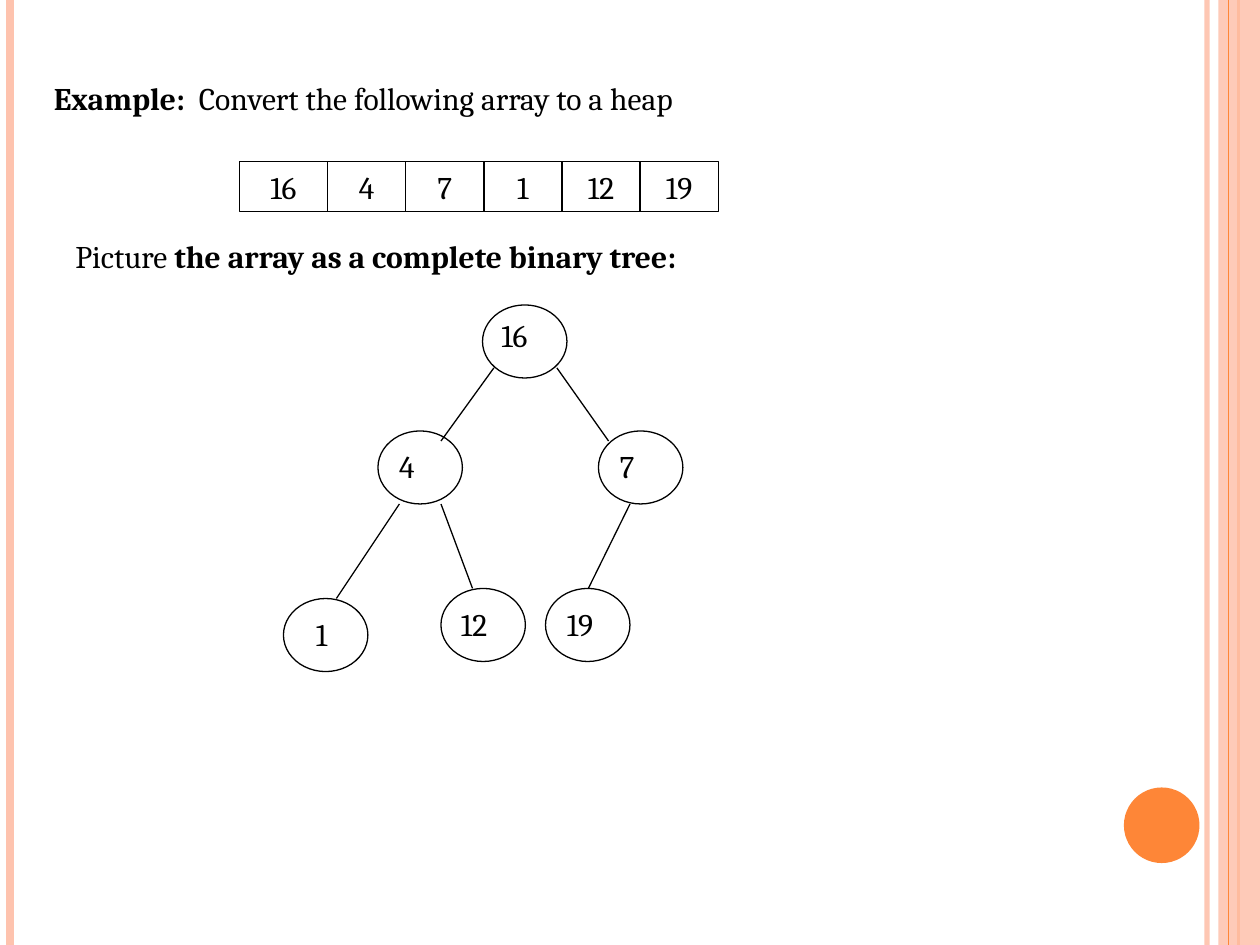
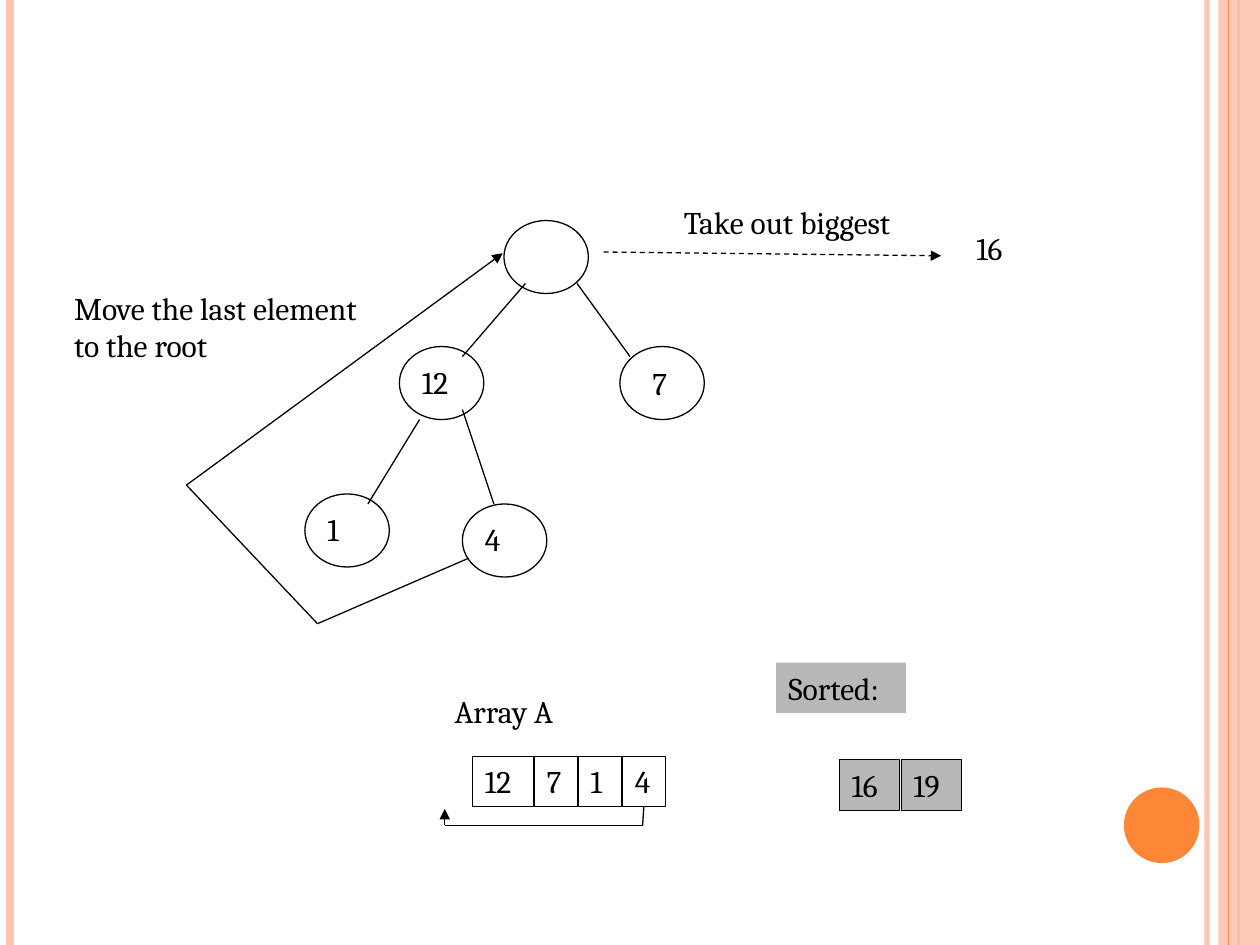
from itertools import pairwise

from lxml import etree
from pptx import Presentation
from pptx.dml.color import RGBColor
from pptx.enum.dml import MSO_LINE
from pptx.enum.shapes import MSO_CONNECTOR, MSO_SHAPE
from pptx.enum.text import MSO_ANCHOR, MSO_AUTO_SIZE, PP_ALIGN
from pptx.oxml.ns import qn
from pptx.util import Inches, Pt

BLACK = RGBColor(0x00, 0x00, 0x00)
ORANGE = RGBColor(0xFE, 0x86, 0x37)
PEACH = RGBColor(0xFE, 0xC3, 0xAE)
GRAY = RGBColor(0xB8, 0xB8, 0xB8)

RECT, OVAL = MSO_SHAPE.RECTANGLE, MSO_SHAPE.OVAL
STRAIGHT, DASH = MSO_CONNECTOR.STRAIGHT, MSO_LINE.DASH
LEFT, CENTER = PP_ALIGN.LEFT, PP_ALIGN.CENTER
MIDDLE, FIT_TEXT = MSO_ANCHOR.MIDDLE, MSO_AUTO_SIZE.SHAPE_TO_FIT_TEXT
BOTTOM_SIDE = 2

SLIDE_W, SLIDE_H = 10, 7.5
FONT, FONT_SIZE = "Cambria", Pt(18)
THIN, HAIRLINE = 0.75, 0.25
NODE_W, NODE_H = 0.67, 0.58
TEXT_H = 0.4
ONE_DIGIT, TWO_DIGITS = 0.34, 0.48


def set_alpha(element, percent):
    color = next(element.iter(qn("a:srgbClr")))
    etree.SubElement(color, qn("a:alpha"), val=str(percent * 1000))


def add_line(slide, start, end, color=BLACK, width=THIN, dash=None, arrow=False):
    points = [Inches(v) for v in (*start, *end)]
    line = slide.shapes.add_connector(STRAIGHT, *points)
    line.line.color.rgb = color
    line.line.width = Pt(width)
    if dash is not None:
        line.line.dash_style = dash
    sp_pr = line._element.spPr
    if arrow:
        etree.SubElement(sp_pr.find(qn("a:ln")), qn("a:tailEnd"), type="triangle")
    etree.SubElement(sp_pr, qn("a:effectLst"))
    return line


def add_bent_arrow(slide, points):
    """Join the points by straight lines; the last one carries the arrowhead."""
    return [add_line(slide, start, end, arrow=end == points[-1])
            for start, end in pairwise(points)]


def add_shape(slide, kind, left, top, width, height, fill=None, line=None):
    """Add a shape; line is its black outline's width, or None."""
    sp = slide.shapes.add_shape(
        kind, Inches(left), Inches(top), Inches(width), Inches(height))
    sp.shadow.inherit = False
    if fill is None:
        sp.fill.background()
    else:
        sp.fill.solid()
        sp.fill.fore_color.rgb = fill
    if line is None:
        sp.line.fill.background()
    else:
        sp.line.color.rgb = BLACK
        sp.line.width = Pt(line)
    return sp


def write(sp, paragraphs, align=LEFT, wrap=False):
    """Fill sp with paragraphs, each a list of (text, bold) runs."""
    tf = sp.text_frame
    tf.word_wrap = wrap
    tf.auto_size = FIT_TEXT
    tf.vertical_anchor = MIDDLE
    for i, runs in enumerate(paragraphs):
        p = tf.add_paragraph() if i else tf.paragraphs[0]
        p.alignment = align
        for text, bold in runs:
            r = p.add_run()
            r.text = text
            r.font.name = FONT
            r.font.size = FONT_SIZE
            r.font.bold = bold
            r.font.color.rgb = BLACK


def add_text(slide, left, top, width, paragraphs, wrap=False):
    box = slide.shapes.add_textbox(
        Inches(left), Inches(top), Inches(width), Inches(TEXT_H * len(paragraphs)))
    write(box, paragraphs, wrap=wrap)


def add_label(slide, left, top, width, *lines):
    add_text(slide, left, top, width, [[(line, False)] for line in lines])


def digits_width(number):
    return ONE_DIGIT if len(number) == 1 else TWO_DIGITS


def add_cells(slide, left, top, cells, gap=0, fill=None, line=HAIRLINE, align=LEFT):
    """Set (text, width) cells side by side and return their shapes."""
    shapes = []
    for text, width in cells:
        sp = add_shape(slide, RECT, left, top, width, TEXT_H, fill, line)
        write(sp, [[(text, False)]], align, wrap=align == CENTER)
        shapes.append(sp)
        left += width + gap
    return shapes


def add_tree(slide, left, top, nodes, edges):
    """Draw a tree; nodes (x, y, label, label dx, label dy) and edges count from the root's corner."""
    for x, y, label, dx, dy in nodes:
        add_shape(slide, OVAL, left + x, top + y, NODE_W, NODE_H, line=THIN)
        if label:
            add_label(slide, left + x + dx, top + y + dy, digits_width(label), label)
    for x1, y1, x2, y2 in edges:
        add_line(slide, (left + x1, top + y1), (left + x2, top + y2))


def add_side_bands(slide):
    def rule(x, color, width):
        return add_line(slide, (x, 0), (x, SLIDE_H), color, width)

    set_alpha(rule(9.58, PEACH, 3)._element.spPr, 93)
    rule(0.08, PEACH, 4.5)
    rule(9.83, ORANGE, 1.5)
    band = add_shape(slide, RECT, 9.67, 0, 0.33, SLIDE_H, PEACH)
    set_alpha(band._element.spPr, 87)
    rule(9.75, ORANGE, 0.75)
    add_shape(slide, OVAL, 8.92, 6.25, 0.6, 0.6, ORANGE)


def new_slide(prs):
    slide = prs.slides.add_slide(prs.slide_layouts[6])
    add_side_bands(slide)
    return slide


def build_array_to_tree(prs):
    slide = new_slide(prs)
    add_text(slide, 0.33, 0.58, 9.33,
             [[("Example:", True),
               ("  Convert the following array to a heap", False)]], wrap=True)
    cells = [("16", 0.7)] + [(n, 0.62) for n in ("4", "7", "1", "12", "19")]
    add_cells(slide, 1.9, 1.28, cells, line=THIN, align=CENTER)
    add_text(slide, 0.5, 1.83, 9.33,
             [[("Picture ", False),
               ("the array as a complete binary tree:", True)]], wrap=True)
    nodes = [
        (0, 0, "16", 0.05, 0.04),
        (-0.83, 1, "4", 0.07, 0.08),
        (0.92, 1, "7", 0.07, 0.08),
        (-1.58, 2.33, "1", 0.16, 0.08),
        (-0.33, 2.25, "12", 0.06, 0.08),
        (0.5, 2.25, "19", 0.07, 0.08),
    ]
    edges = [
        (0.09, 0.5, -0.33, 1.08),
        (0.59, 0.5, 1, 1.08),
        (-0.66, 1.58, -1.16, 2.33),
        (-0.33, 1.58, -0.08, 2.25),
        (1.17, 1.58, 0.84, 2.25),
    ]
    add_tree(slide, 3.83, 2.42, nodes, edges)


def add_array_a(slide, left, top):
    add_label(slide, left, top, 1.12, "Array A")
    cells = [(n, digits_width(n)) for n in ("12", "7", "1", "4")]
    last = add_cells(slide, left + 0.24, top + 0.56, cells, gap=0.01)[-1]
    start_x, end_x, low = left + 1.59, left + 0.02, top + 1.11
    lines = add_bent_arrow(slide, [(start_x, top + 0.96), (start_x, low),
                                   (end_x, low), (end_x, top + 0.98)])
    lines[0].begin_connect(last, BOTTOM_SIDE)


def add_sorted(slide, left, top):
    add_cells(slide, left, top, [("Sorted:", 1.03)], fill=GRAY, line=None)
    cells = [(n, TWO_DIGITS) for n in ("16", "19")]
    add_cells(slide, left + 0.5, top + 0.77, cells, gap=0.01, fill=GRAY)


def build_take_out_biggest(prs):
    slide = new_slide(prs)
    nodes = [
        (0, 0, "", 0, 0),
        (-0.83, 1, "12", 0.08, 0.08),
        (0.92, 1, "7", 0.16, 0.09),
        (-1.58, 2.17, "1", 0.08, 0.08),
        (-0.33, 2.25, "4", 0.08, 0.08),
    ]
    edges = [
        (0.17, 0.5, -0.33, 1.08),
        (0.58, 0.5, 1, 1.08),
        (-0.67, 1.58, -1.08, 2.25),
        (-0.33, 1.5, -0.08, 2.25),
    ]
    add_tree(slide, 4, 1.75, nodes, edges)
    add_label(slide, 5.33, 1.56, 2.11, "Take out biggest")
    add_line(slide, (4.79, 2), (7.47, 2.03), dash=DASH, arrow=True)
    add_label(slide, 7.65, 1.77, TWO_DIGITS, "16")
    add_label(slide, 0.49, 2.19, 2.76, "Move the last element", "to the root")
    add_bent_arrow(slide, [(3.72, 4.43), (2.52, 4.95), (1.48, 3.85), (3.99, 2.01)])
    add_array_a(slide, 3.51, 5.44)
    add_sorted(slide, 6.16, 5.26)


def main():
    prs = Presentation()
    prs.slide_width, prs.slide_height = Inches(SLIDE_W), Inches(SLIDE_H)
    build_array_to_tree(prs)
    build_take_out_biggest(prs)
    prs.save("out.pptx")


if __name__ == "__main__":
    main()
